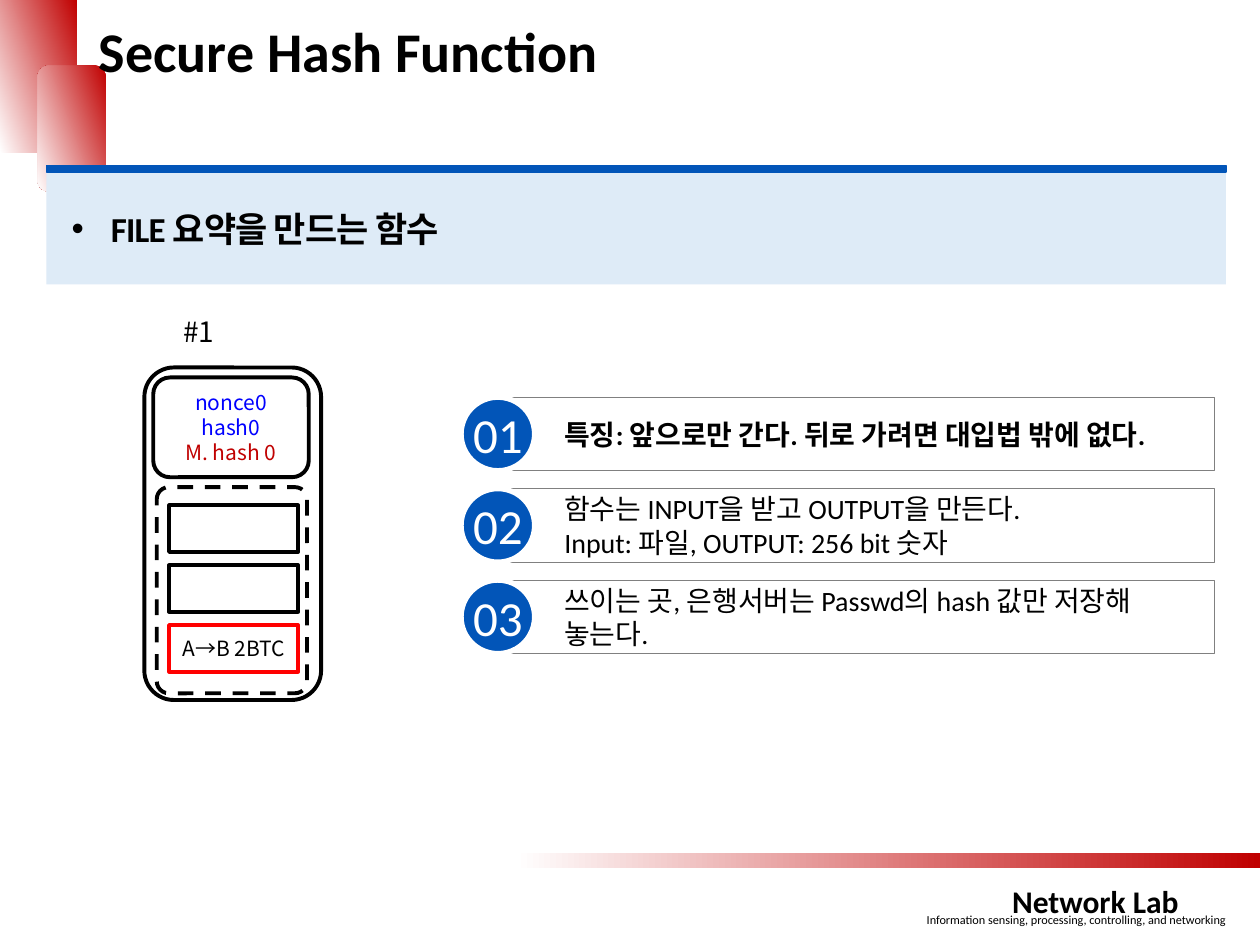
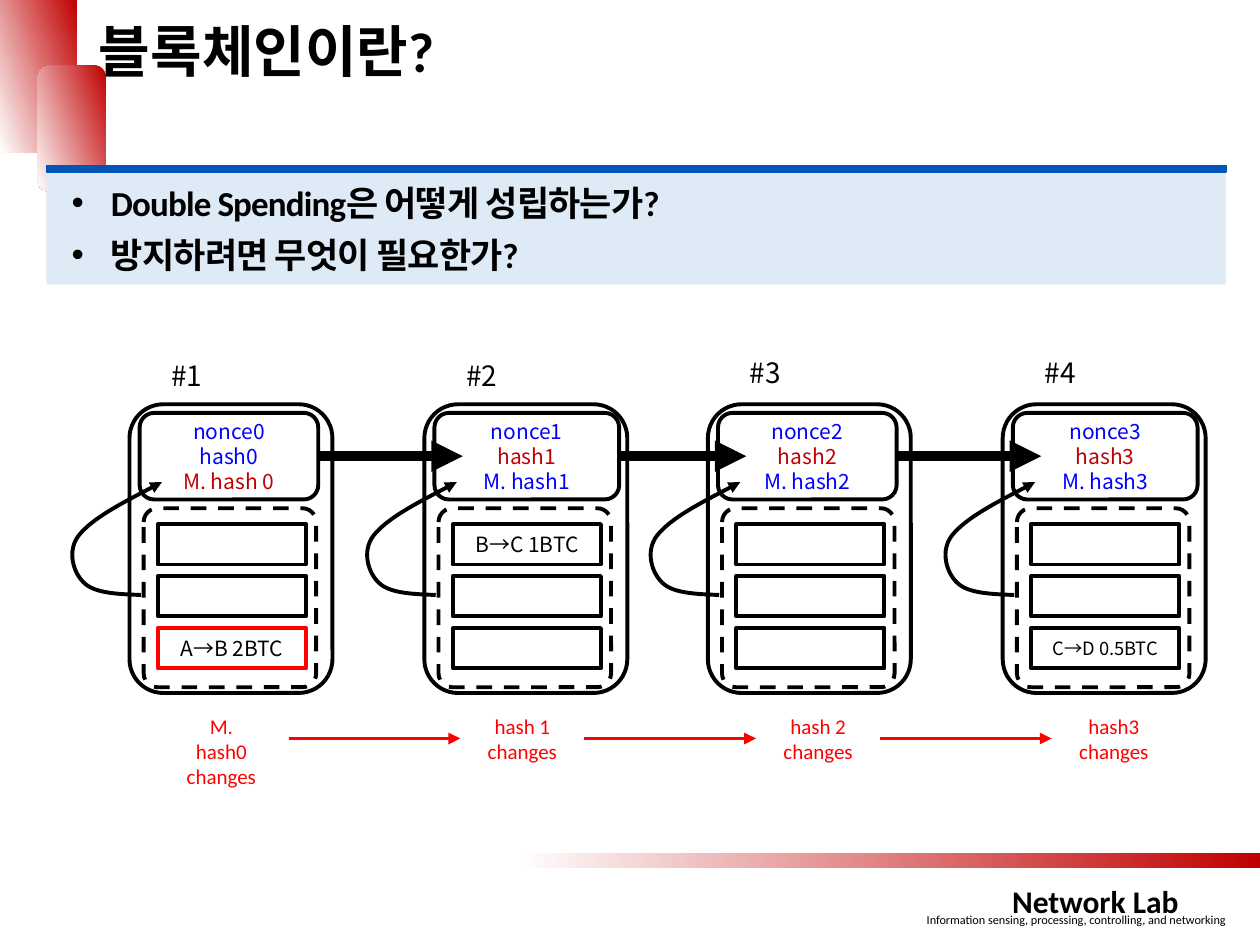
from dataclasses import dataclass, replace

from lxml.etree import SubElement
from pptx import Presentation
from pptx.dml.color import RGBColor
from pptx.enum.dml import MSO_LINE
from pptx.enum.shapes import MSO_CONNECTOR, MSO_SHAPE
from pptx.enum.text import MSO_ANCHOR, MSO_AUTO_SIZE, PP_ALIGN
from pptx.oxml.ns import qn
from pptx.util import Pt

BLACK = RGBColor(0, 0, 0)
WHITE = RGBColor(0xFF, 0xFF, 0xFF)
GREY = RGBColor(0x80, 0x80, 0x80)
RED = RGBColor(0xFF, 0, 0)
CRIMSON = RGBColor(0xC0, 0, 0)
BLUE = RGBColor(0, 0, 0xFF)
ROYAL = RGBColor(0x02, 0x55, 0xB8)
PALE = RGBColor(0xDE, 0xEB, 0xF7)
LATIN, KOREAN = "Calibri", "Noto Sans CJK KR"


@dataclass(frozen=True)
class Style:
    """Character formatting of a run."""
    size: float
    color: RGBColor = BLACK
    font: str = LATIN
    bold: bool = False
    spacing: int = 0


TITLE = Style(32, bold=True)
LEAD = Style(20, bold=True, spacing=-50)
LAB = Style(18, bold=True)
TAGLINE = Style(7)
POINT = Style(16)
KEY_POINT = replace(POINT, bold=True)
NUMBER = Style(28, WHITE)
LABEL = Style(16, font=KOREAN)
FIELD = Style(12, font=KOREAN)
SMALL_FIELD = replace(FIELD, size=10.5)
CHANGE = Style(12, RED)


@dataclass(frozen=True)
class Block:
    """Content of one block in the chain."""
    label: str
    fields: tuple
    transactions: tuple = ("", "", "")
    marked: int = -1
    rise: float = 31
    header_share: float = 0.88
    style: Style = FIELD


FIRST = Block("#1", (("nonce0", BLUE), ("hash0", BLUE), ("M. hash 0", CRIMSON)),
              ("", "", "A→B 2BTC"), marked=2)


def later_block(number, **options):
    """Describe a block whose hash has changed."""
    n = number - 1
    return Block(f"#{number}", ((f"nonce{n}", BLUE), (f"hash{n}", CRIMSON), (f"M. hash{n}", BLUE)), **options)


CHAIN = (
    (74, FIRST),
    (242.5, later_block(2, transactions=("B→C 1BTC", "", ""), header_share=0.91)),
    (404.5, later_block(3, rise=33)),
    (573, later_block(4, transactions=("", "", "C→D 0.5BTC"), rise=33, header_share=0.91, style=SMALL_FIELD)),
)
HASH_LOOP = ((6.5, 109), (-7, 108.5), (-20, 108), (-26, 102), (-32, 96.5),
             (-36, 84), (-29, 75), (-21, 65), (-1.5, 55), (18.5, 44.5))


def points(*lengths):
    """Convert numbers to point lengths."""
    return [Pt(length) for length in lengths]


def write(shape, lines, align=PP_ALIGN.LEFT, insets=(7.2, 3.6, 7.2, 3.6), anchor=MSO_ANCHOR.MIDDLE, wrap=True):
    """Fill a shape with styled lines and return its paragraphs."""
    frame = shape.text_frame
    frame.word_wrap = wrap
    frame.vertical_anchor = anchor
    frame.margin_left, frame.margin_top, frame.margin_right, frame.margin_bottom = points(*insets)
    for index, (text, style) in enumerate(lines):
        paragraph = frame.add_paragraph() if index else frame.paragraphs[0]
        paragraph.alignment = align
        run = paragraph.add_run()
        run.text = text
        font = run.font
        font.size, font.bold, font.name = Pt(style.size), style.bold, style.font
        font.color.rgb = style.color
        properties = run._r.get_or_add_rPr()
        SubElement(properties, qn("a:ea"), typeface=KOREAN)
        if style.spacing:
            properties.set("spc", str(style.spacing))
    return frame.paragraphs


def add_text(slide, box, lines, **options):
    """Add a text box that grows with its text."""
    text_box = slide.shapes.add_textbox(*points(*box))
    write(text_box, lines, anchor=MSO_ANCHOR.TOP, **options)
    text_box.text_frame.auto_size = MSO_AUTO_SIZE.SHAPE_TO_FIT_TEXT


def add_panel(slide, kind, box, fill=None, line=None, width=2.25, corner=None):
    """Add a flat preset shape."""
    panel = slide.shapes.add_shape(kind, *points(*box))
    panel.shadow.inherit = False
    if fill is None:
        panel.fill.background()
    else:
        panel.fill.solid()
        panel.fill.fore_color.rgb = fill
    if line is None:
        panel.line.fill.background()
    else:
        panel.line.color.rgb = line
        panel.line.width = Pt(width)
    if corner is not None:
        panel.adjustments[0] = corner
    return panel


def add_fade(slide, kind, box, colors, angle):
    """Add a shape that fades between two colours."""
    fade = add_panel(slide, kind, box)
    fade.fill.gradient()
    fade.fill.gradient_angle = angle
    for stop, color in zip(fade.fill.gradient_stops, colors):
        stop.color.rgb = color


def style_arrow(arrow, color, width):
    """Colour a line and put a triangle at its end."""
    arrow.line.color.rgb = color
    arrow.line.width = Pt(width)
    SubElement(arrow.line._get_or_add_ln(), qn("a:tailEnd"), type="triangle")


def add_arrow(slide, start, end, color, width):
    """Add a straight arrow."""
    arrow = slide.shapes.add_connector(MSO_CONNECTOR.STRAIGHT, *points(*start, *end))
    style_arrow(arrow, color, width)
    SubElement(arrow._element.spPr, qn("a:effectLst"))
    return arrow


def add_hash_loop(slide, left, top):
    """Draw the curved arrow from the transactions to the block header."""
    start, *controls = [(Pt(left + x), Pt(top + y)) for x, y in HASH_LOOP]
    builder = slide.shapes.build_freeform(*start)
    builder.add_line_segments(controls, close=False)
    loop = builder.convert_to_shape()
    loop.shadow.inherit = False
    loop.fill.background()
    style_arrow(loop, BLACK, 2.25)
    segments = list(loop._element.iter(qn("a:lnTo")))
    outline = segments[0].getparent()
    for first in range(0, len(segments), 3):
        curve = SubElement(outline, qn("a:cubicBezTo"))
        for segment in segments[first:first + 3]:
            curve.append(segment[0])
            outline.remove(segment)


def add_frame(slide, title, leads):
    """Add the footer, corner bands, title and lead band of a slide."""
    add_text(slide, (522.5, 517.5, 211, 16),
             [("Information sensing, processing, controlling, and networking", TAGLINE)])
    add_text(slide, (532, 500.5, 188, 29), [("Network Lab", LAB)], align=PP_ALIGN.CENTER)
    add_fade(slide, MSO_SHAPE.RECTANGLE, (0, 0, 44, 87), (CRIMSON, WHITE), 200)
    add_fade(slide, MSO_SHAPE.FLOWCHART_ALTERNATE_PROCESS, (21.5, 37.5, 39, 72), (CRIMSON, WHITE), 200)
    add_fade(slide, MSO_SHAPE.RECTANGLE, (294.5, 487.5, 425.5, 8.5), (WHITE, CRIMSON), 0)
    add_text(slide, (49.5, 6, 593, 46), [(title, TITLE)])
    band = add_panel(slide, MSO_SHAPE.RECTANGLE, (26.5, 98.5, 674, 64), PALE)
    lines = [(lead, LEAD) for lead in leads]
    for paragraph in write(band, lines, insets=(14.4, 3.6, 28, 3.6)):
        paragraph.space_before = Pt(6)
        properties = paragraph._p.get_or_add_pPr()
        properties.set("marL", str(Pt(22.5)))
        properties.set("indent", str(-Pt(22.5)))
        SubElement(properties, qn("a:buFont"), typeface="Arial")
        SubElement(properties, qn("a:buChar"), char="•")
    add_panel(slide, MSO_SHAPE.RECTANGLE, (26.5, 94.5, 674, 3.6), ROYAL, ROYAL, 1)


def add_block(slide, box, block):
    """Draw a block inside its box and return its header."""
    left, top, width, height = box

    def part(x, y, w, h):
        return left + x * width, top + y * height, w * width, h * height

    add_panel(slide, MSO_SHAPE.ROUNDED_RECTANGLE, box, WHITE, BLACK)
    body = add_panel(slide, MSO_SHAPE.ROUNDED_RECTANGLE, part(0.07, 0.36, 0.85, 0.62), WHITE, BLACK, corner=0.08)
    body.line.dash_style = MSO_LINE.DASH
    add_text(slide, (left + 0.12 * width, top - block.rise, 44, 29.5), [(block.label, LABEL)],
             insets=(10, 5, 10, 5), wrap=False)
    for row, transaction in enumerate(block.transactions):
        outline = RED if row == block.marked else BLACK
        entry = add_panel(slide, MSO_SHAPE.RECTANGLE, part(0.14, 0.415 + 0.18 * row, 0.73, 0.14), WHITE, outline)
        if transaction:
            write(entry, [(transaction, block.style)], align=PP_ALIGN.CENTER, insets=(2, 2, 2, 2))
    header = add_panel(slide, MSO_SHAPE.ROUNDED_RECTANGLE, part(0.05, 0.03, block.header_share, 0.3), WHITE, BLACK)
    write(header, [(text, replace(FIELD, color=color)) for text, color in block.fields],
          align=PP_ALIGN.CENTER, insets=(10, 5, 10, 5))
    return header


def add_point(slide, left, top, number, lines):
    """Add a numbered statement."""
    size = 42
    statement = add_panel(slide, MSO_SHAPE.RECTANGLE, (left + 22.5, top, 408, size), line=GREY, width=0.5)
    write(statement, lines, insets=(36.5, 3.6, 7.2, 3.6))
    badge = add_panel(slide, MSO_SHAPE.OVAL, (left, top, size, size), ROYAL, WHITE, 3)
    write(badge, [(f"{number:02}", NUMBER)], align=PP_ALIGN.CENTER, insets=(0, 0, 0, 0))


def add_changes(slide, top):
    """Add the row of hash changes below the chain."""
    changes = ((126.5, "M. hash0"), (298.5, "hash 1"), (467.5, "hash 2"), (636.5, "hash3"))
    for center, name in changes:
        add_text(slide, (center - 30, top, 60, 37.5), [(name, CHANGE), ("changes", CHANGE)],
                 align=PP_ALIGN.CENTER, insets=(8.5, 4.5, 8.5, 4.5), wrap=False)
    for step in range(len(changes) - 1):
        start = 165 + 169 * step
        add_arrow(slide, (start, top + 19), (start + 98, top + 19), RED, 2.25)


def hash_slide(slide):
    """Build the slide on the secure hash function."""
    add_frame(slide, "Secure Hash Function", ["FILE 요약을 만드는 함수"])
    statements = (
        [("특징: 앞으로만 간다. 뒤로 가려면 대입법 밖에 없다.", KEY_POINT)],
        [("함수는 INPUT을 받고 OUTPUT을 만든다.", POINT), ("Input: 파일, OUTPUT: 256 bit 숫자", POINT)],
        [("쓰이는 곳, 은행서버는 Passwd의 hash 값만 저장해 놓는다.", POINT)],
    )
    for index, lines in enumerate(statements):
        add_point(slide, 263.5, 227 + 52.25 * index, index + 1, lines)
    add_block(slide, (82.5, 210, 101, 190), replace(FIRST, rise=35))


def chain_slide(slide):
    """Build the slide on the block chain."""
    add_frame(slide, "블록체인이란?", ["Double Spending은 어떻게 성립하는가?", "방지하려면 무엇이 필요한가?"])
    top, width, height = 231, 116, 165
    headers = [add_block(slide, (left, top, width, height), block) for left, block in CHAIN]
    for header, (next_left, _) in zip(headers, CHAIN[1:]):
        middle = top + 0.18 * height
        link = add_arrow(slide, (next_left - 60, middle), (next_left + 22, middle), BLACK, 6)
        link.begin_connect(header, 3)
    for left, _ in CHAIN:
        add_hash_loop(slide, left, top)
    add_changes(slide, 403)


def main():
    """Build the presentation."""
    deck = Presentation()
    deck.slide_width, deck.slide_height = points(720, 540)
    for build in (hash_slide, chain_slide):
        build(deck.slides.add_slide(deck.slide_layouts[6]))
    deck.save("out.pptx")


if __name__ == "__main__":
    main()
